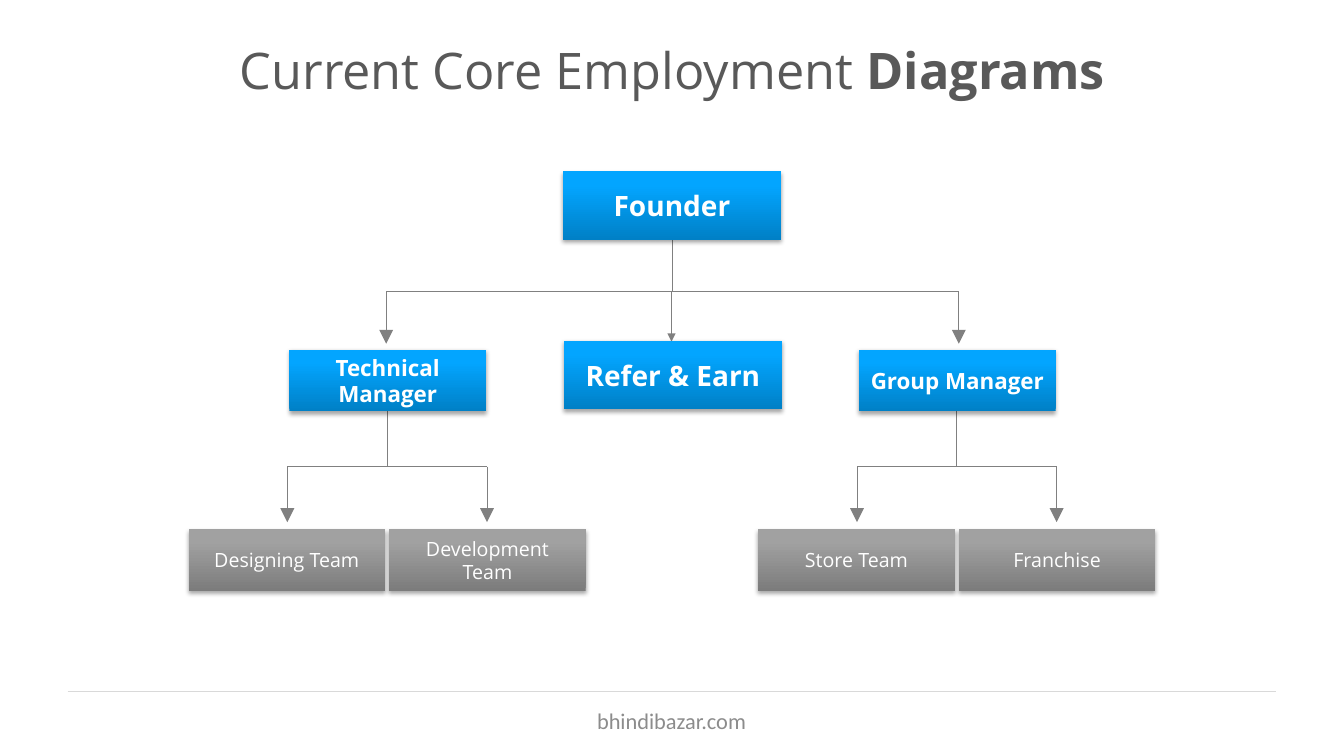
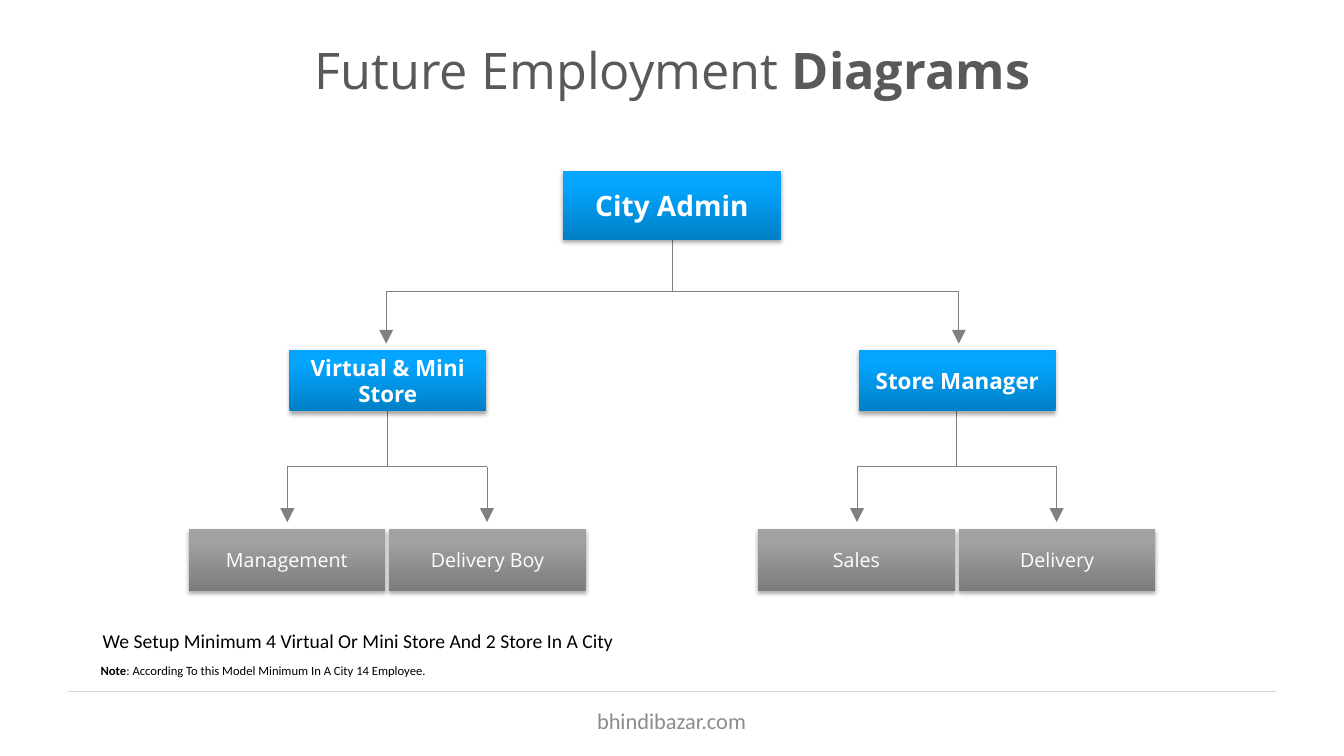
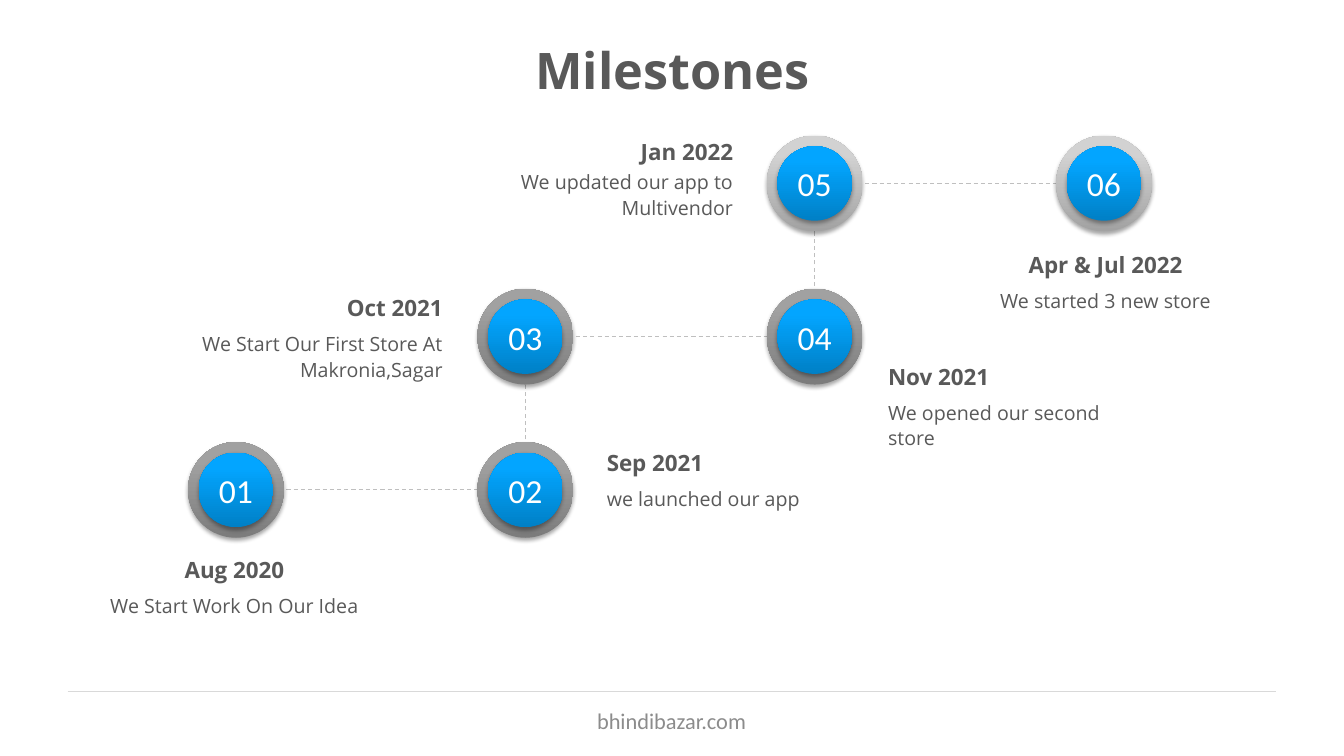
from dataclasses import dataclass
from itertools import pairwise

from lxml import etree
from pptx import Presentation
from pptx.dml.color import RGBColor
from pptx.enum import dml, shapes, text
from pptx.oxml.ns import qn
from pptx.util import Inches, Pt

LEFT, MID, RIGHT = text.PP_ALIGN.LEFT, text.PP_ALIGN.CENTER, text.PP_ALIGN.RIGHT
TOP, CENTRE = text.MSO_ANCHOR.TOP, text.MSO_ANCHOR.MIDDLE
RECT, OVAL = shapes.MSO_SHAPE.RECTANGLE, shapes.MSO_SHAPE.OVAL


@dataclass(frozen=True)
class Theme:
    # Typefaces
    sans: str = "Open Sans"
    plain: str = "Calibri"
    # Colours; gradients run from bottom to top
    ink: str = "595959"
    black: str = "000000"
    white: str = "FFFFFF"
    foot: str = "8C8C8C"
    rule: str = "D9D9D9"
    wire: str = "808080"
    dash: str = "BFBFBF"
    blue: tuple = ("0080C6", "03A5FF")
    grey: tuple = ("7C7C7C", "A1A1A1")
    pale: tuple = ("A2A2A2", "D2D2D2")
    # Type sizes
    title: int = 36
    badge: int = 24
    root: int = 20
    head: int = 16
    body: int = 14
    note: int = 9


T = Theme()


# Text
def write(frame, runs, size, color, font=T.sans, bold=False, align=MID,
          anchor=CENTRE, inset=(0.1, 0.05), lead=None):
    """Fill a frame with one paragraph; runs is a string or (text, bold) pairs."""
    frame.word_wrap = True
    frame.auto_size = text.MSO_AUTO_SIZE.NONE
    frame.vertical_anchor = anchor
    frame.margin_left = frame.margin_right = Inches(inset[0])
    frame.margin_top = frame.margin_bottom = Inches(inset[1])
    para = frame.paragraphs[0]
    para.alignment = align
    if lead:
        para.line_spacing = lead
    for words, heavy in [(runs, bold)] if isinstance(runs, str) else runs:
        run = para.add_run()
        run.text = words
        run.font.name, run.font.size, run.font.bold = font, Pt(size), heavy
        run.font.color.rgb = RGBColor.from_string(color)


def label(slide, x, y, w, h, runs, size, color, **style):
    box = slide.shapes.add_textbox(*map(Inches, (x, y, w, h)))
    write(box.text_frame, runs, size, color, **style)


# Lines
def line(slide, x1, y1, x2, y2, color=T.wire, width=0.5, head=None, dash=False):
    wire = slide.shapes.add_connector(
        shapes.MSO_CONNECTOR.STRAIGHT, *map(Inches, (x1, y1, x2, y2)))
    wire.line.color.rgb = RGBColor.from_string(color)
    wire.line.width = Pt(width)
    if dash:
        wire.line.dash_style = dml.MSO_LINE.DASH
    props = wire._element.spPr
    if head:
        etree.SubElement(props.find(qn("a:ln")), qn("a:tailEnd"),
                         type="triangle", w=head, len=head)
    etree.SubElement(props, qn("a:effectLst"))


# Shaded shapes
def block(slide, kind, x, y, w, h, shade):
    shape = slide.shapes.add_shape(kind, *map(Inches, (x, y, w, h)))
    shape.line.fill.background()
    shape.fill.gradient()
    shape.fill.gradient_angle = 90
    for stop, color, place in zip(shape.fill.gradient_stops, shade, (0, 0.8)):
        stop.color.rgb = RGBColor.from_string(color)
        stop.position = place
    shape.shadow.inherit = False
    glow = etree.SubElement(
        shape._element.spPr.find(qn("a:effectLst")), qn("a:outerShdw"),
        blurRad=str(Pt(3.1)), dist=str(Pt(1.8)), dir="5400000", rotWithShape="0")
    tone = etree.SubElement(glow, qn("a:srgbClr"), val=T.black)
    etree.SubElement(tone, qn("a:alpha"), val="35000")
    return shape


def card(slide, x, y, words, size, shade=T.blue, w=1.95, h=0.61, bold=True):
    shape = block(slide, RECT, x, y, w, h, shade)
    write(shape.text_frame, words, size, T.white, bold=bold)


def chief(slide, x, y, words):
    card(slide, x, y, words, T.root, w=2.17, h=0.68)


# Slide frame: title, rule and footer
def base(deck, title):
    slide = deck.slides.add_slide(deck.slide_layouts[5])
    head = slide.shapes.title
    head.left, head.top, head.width, head.height = map(Inches, (0.67, 0.3, 12, 0.78))
    write(head.text_frame, title, T.title, T.ink, inset=(0.13, 0.07))
    line(slide, 0.67, 6.86, 12.66, 6.86, T.rule, 0.75)
    label(slide, 4.55, 6.95, 4.22, 0.4, "bhindibazar.com", T.head, T.foot,
          font=T.plain, inset=(0.13, 0.07))
    return slide


# Organisation chart
def fork(slide, mid, reach, top, bar, tip):
    line(slide, mid - reach, bar, mid + reach, bar)
    line(slide, mid, top, mid, bar)
    for x in (mid - reach, mid + reach):
        line(slide, x, bar, x, tip, head="lg")


def chart(slide, root, teams):
    fork(slide, 6.67, 2.84, 2.35, 2.89, 3.41)
    chief(slide, 5.58, 1.7, root)
    for i, (lead, crew) in enumerate(teams):
        x = 2.87 + 5.65 * i
        fork(slide, x + 0.97, 0.99, 4.07, 4.63, 5.18)
        card(slide, x, 3.47, lead, T.head)
        for j, name in enumerate(crew):
            card(slide, x - 1 + 1.99 * j, 5.25, name, T.body, T.grey, bold=False)


# Milestone path
def trail(slide, spots):
    ring, disc = 0.95, 0.74
    mids = [(2.34 + 2.87 * col, 4.86 - 1.52 * row) for col, row, _ in spots]
    for start, end in pairwise(mids):
        line(slide, *start, *end, T.dash, 0.75, dash=True)
    for i, ((x, y), (_, _, shade)) in enumerate(zip(mids, spots), 1):
        block(slide, OVAL, x - ring / 2, y - ring / 2, ring, ring, shade)
        badge = block(slide, OVAL, x - disc / 2, y - disc / 2, disc, disc, T.blue)
        write(badge.text_frame, f"{i:02}", T.badge, T.white, T.plain,
              inset=(0, 0.05))


def event(slide, x, y, align, date, words, gap=0.35):
    label(slide, x, y, 2.67, 0.37, date, T.head, T.ink, bold=True,
          align=align, anchor=TOP)
    label(slide, x, y + gap, 2.67, 0.62, words, T.body, T.ink,
          align=align, anchor=TOP, lead=1.1)


def main():
    deck = Presentation()
    deck.slide_width, deck.slide_height = Inches(13.33), Inches(7.5)

    # Current staff
    slide = base(deck, [("Current Core Employment ", False), ("Diagrams", True)])
    chart(slide, "Founder", [
        ("Technical Manager", ("Designing Team", "Development Team")),
        ("Group Manager", ("Store Team", "Franchise"))])
    line(slide, 6.66, 2.89, 6.66, 3.39, width=0.75, head="med")
    chief(slide, 5.59, 3.38, "Refer & Earn")

    # Future staff
    slide = base(deck, [("Future Employment ", False), ("Diagrams", True)])
    chart(slide, "City Admin", [
        ("Virtual & Mini Store", ("Management", "Delivery Boy")),
        ("Store Manager", ("Sales", "Delivery"))])
    label(slide, 0.92, 6.19, 5.28, 0.34,
          "We Setup Minimum 4 Virtual Or Mini Store And 2 Store In A City",
          T.body, T.black, font=T.plain, align=LEFT, anchor=TOP)
    label(slide, 0.9, 6.53, 3.65, 0.28,
          [("Note", True),
           (": According To this Model Minimum In A City 14 Employee.", False)],
          T.note, T.black, font=T.plain, align=LEFT, anchor=TOP)

    # Milestones
    slide = base(deck, [("Milestones", True)])
    trail(slide, [(0, 0, T.grey), (1, 0, T.grey), (1, 1, T.grey),
                  (2, 1, T.grey), (2, 2, T.pale), (3, 2, T.pale)])
    event(slide, 0.99, 5.47, MID, "Aug 2020", "We Start Work On Our Idea")
    event(slide, 5.92, 4.41, LEFT, "Sep 2021", "we launched our app")
    event(slide, 1.82, 2.87, RIGHT, "Oct 2021",
          "We Start Our First Store At Makronia,Sagar")
    event(slide, 8.71, 3.55, LEFT, "Nov 2021", "We opened our second store")
    event(slide, 4.7, 1.32, RIGHT, "Jan 2022",
          "We updated our app to Multivendor", gap=0.29)
    event(slide, 9.63, 2.44, MID, "Apr & Jul 2022", "We started 3 new store")

    deck.save("out.pptx")


if __name__ == "__main__":
    main()
